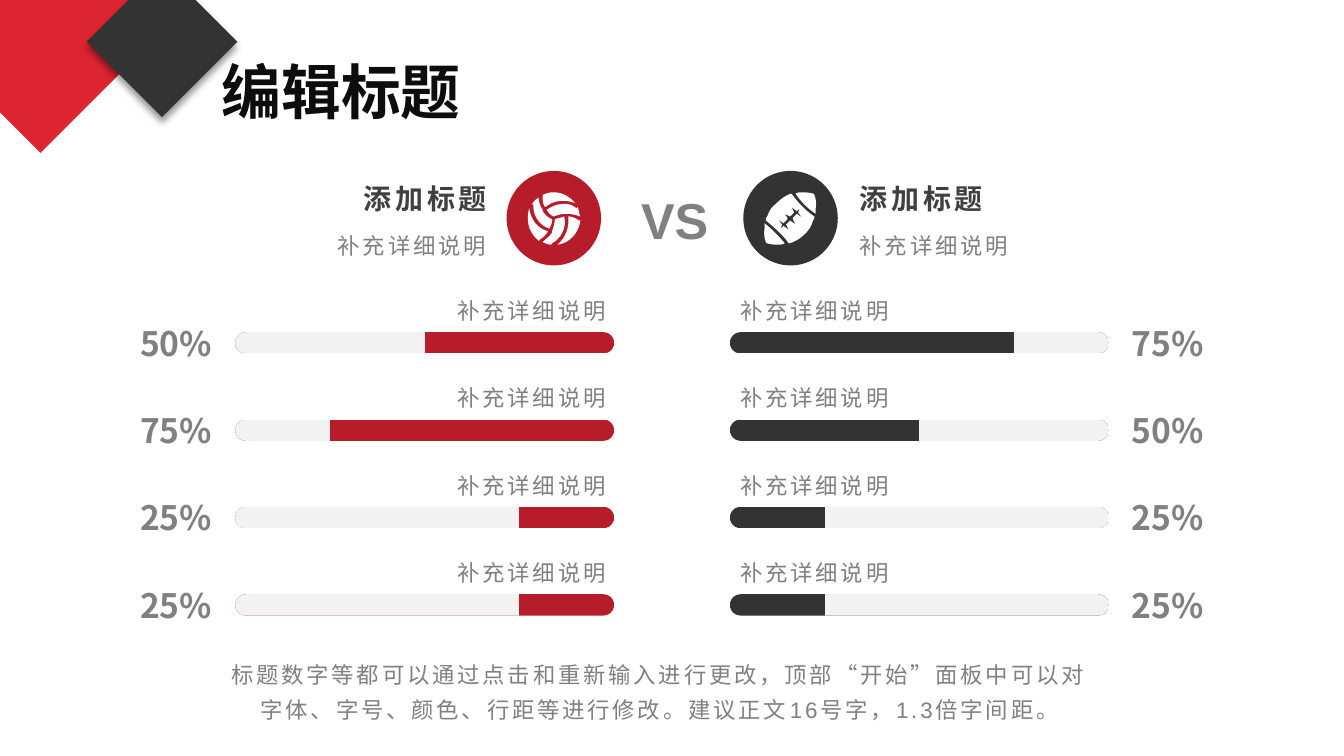
"""Build a slide that compares two sports with mirrored percentage bars."""
from copy import deepcopy
from dataclasses import dataclass

from lxml import etree
from pptx import Presentation
from pptx.dml.color import RGBColor
from pptx.enum.shapes import MSO_SHAPE
from pptx.enum.text import MSO_ANCHOR, MSO_AUTO_SIZE, PP_ALIGN
from pptx.oxml.ns import qn
from pptx.slide import Slide
from pptx.util import Pt

LEFT, CENTER, RIGHT = PP_ALIGN.LEFT, PP_ALIGN.CENTER, PP_ALIGN.RIGHT
TOP, MIDDLE = MSO_ANCHOR.TOP, MSO_ANCHOR.MIDDLE
GROW = MSO_AUTO_SIZE.SHAPE_TO_FIT_TEXT
FIXED = MSO_AUTO_SIZE.NONE
OVAL, PILL = MSO_SHAPE.OVAL, MSO_SHAPE.ROUNDED_RECTANGLE

COLORS = {
    "crimson": "B71C2B", "red": "DD2431", "dark": "333333", "track": "F2F2F2",
    "white": "FFFFFF", "title": "0D0D0D", "heading": "404040", "gray": "808080",
    "shadow": "000000",
}
LATIN, CJK = "Arial", "Noto Sans CJK SC"
DETAIL = "补充详细说明"
ICON_UNIT = 0.72
CURVE_STEPS = 8
ROW_TOP, ROW_PITCH = 154.8, 46.8

VOLLEYBALL = (
    "M 27 18 C 29 26 25 34 18 38 L 17 39 L 18 39 C 15 39 13 38 11 37 "
    "C 13 35 16 33 18 30 L 18 29 C 19 26 20 23 20 20 C 23 19 25 19 27 18 "
    "M 30 18 C 33 18 35 19 38 21 L 39 21 C 38 30 31 38 22 39 C 28 34 31 26 30 18 "
    "M 1 12 C 2 20 7 27 15 29 C 13 32 11 34 9 35 L 8 36 C 3 32 0 26 0 20 "
    "C 0 17 0 15 1 12 "
    "M 24 9 C 28 8 32 9 35 11 L 36 12 L 37 11 C 38 13 38 16 39 18 "
    "C 36 17 32 16 29 16 L 28 16 C 25 16 22 17 19 18 C 17 17 15 15 14 13 "
    "C 17 11 21 9 24 9 "
    "M 8 4 C 8 7 9 10 11 13 L 11 14 C 13 17 15 19 18 20 C 18 23 17 25 16 27 "
    "C 9 25 4 18 4 10 L 4 9 L 3 9 C 4 7 6 5 8 4 "
    "M 19 0 C 25 0 31 3 35 8 C 27 5 19 6 13 11 C 11 9 11 6 11 3 L 11 2 "
    "C 13 1 16 0 19 0"
)
FOOTBALL = (
    "M 0 23 C 6 28 11 33 15 38 C 13 39 11 39 10 39 C 5 39 2 38 2 38 "
    "C 1 38 1 37 1 37 C 1 37 -1 33 0 27 C 0 26 0 25 0 23 "
    "M 20 11 L 22 15 L 19 18 L 15 16 L 17 19 L 17 20 L 14 23 L 10 20 L 13 24 "
    "L 12 27 L 14 25 L 18 28 L 16 24 L 19 21 L 23 24 L 21 20 L 21 19 L 24 16 "
    "L 28 19 L 25 15 L 26 12 L 24 14 L 20 11 "
    "M 20 1 C 25 8 31 14 37 18 C 37 19 37 20 36 21 C 35 25 33 28 30 31 "
    "C 26 35 22 37 18 38 C 13 31 7 26 1 21 C 1 20 1 19 2 18 C 3 15 5 11 8 9 "
    "C 12 5 16 2 20 1 "
    "M 28 0 C 33 0 36 1 36 1 C 37 1 37 2 37 2 C 37 2 39 6 38 12 "
    "C 38 13 38 15 38 16 C 32 12 27 7 23 1 C 25 0 27 0 28 0"
)


@dataclass(frozen=True)
class TextStyle:
    size: float
    color: str
    font: str = CJK
    bold: bool = False
    align: int = LEFT
    tracking: float = 0
    line_spacing: float | None = None
    space_after: float = 0
    insets: tuple[float, float, float, float] = (7.2, 3.6, 7.2, 3.6)
    anchor: int = TOP
    wrap: bool = True
    autosize: int = FIXED


@dataclass(frozen=True)
class Side:
    color: str
    align: int
    icon: str
    disc_left: float
    heading_left: float
    label_left: float
    bar_left: float
    percent_left: float
    angle: int
    shares: tuple[int, ...]


SIDES = (
    Side("crimson", RIGHT, VOLLEYBALL, 271.4, 132.5, 196.6, 126, 62.6, 180, (50, 75, 25, 25)),
    Side("dark", LEFT, FOOTBALL, 398.2, 455, 391, 391, 594, 0, (75, 50, 25, 25)),
)


def rgb(color: str) -> RGBColor:
    return RGBColor.from_string(COLORS[color])


def write(shape, text: str, style: TextStyle) -> None:
    frame = shape.text_frame
    frame.text = text
    frame.word_wrap = style.wrap
    frame.auto_size = style.autosize
    frame.vertical_anchor = style.anchor
    (frame.margin_left, frame.margin_top,
     frame.margin_right, frame.margin_bottom) = map(Pt, style.insets)
    paragraph = frame.paragraphs[0]
    paragraph.alignment = style.align
    if style.line_spacing:
        paragraph.line_spacing = style.line_spacing
    paragraph.space_after = Pt(style.space_after)
    run = paragraph.runs[0]
    run.font.size, run.font.bold, run.font.name = Pt(style.size), style.bold, style.font
    run.font.color.rgb = rgb(style.color)
    properties = run.font._element
    properties.set("spc", str(int(style.tracking * 100)))
    etree.SubElement(properties, qn("a:ea"), typeface=CJK)


def add_text(slide: Slide, left: float, top: float, width: float, height: float,
             text: str, style: TextStyle) -> None:
    write(slide.shapes.add_textbox(Pt(left), Pt(top), Pt(width), Pt(height)), text, style)


def paint(shape, color: str) -> None:
    shape.shadow.inherit = False
    shape.fill.solid()
    shape.fill.fore_color.rgb = rgb(color)
    shape.line.fill.background()


def trace(path: str) -> list[list[tuple[float, float]]]:
    contours = []
    for outline in path.split("M")[1:]:
        points = []
        for segment in outline.replace("C", "|").replace("L", "|").split("|"):
            values = [float(value) for value in segment.split()]
            if len(values) == 2:
                points.append((values[0], values[1]))
                continue
            start = points[-1]
            for step in range(1, CURVE_STEPS + 1):
                t = step / CURVE_STEPS
                weights = ((1 - t) ** 3, 3 * t * (1 - t) ** 2, 3 * t * t * (1 - t), t ** 3)
                points.append(tuple(
                    sum(w * p for w, p in zip(weights, (start[axis], *values[axis::2])))
                    for axis in (0, 1)))
        contours.append(points)
    return contours


def add_outline(slide: Slide, left: float, top: float, unit: float, path: str, color: str):
    contours = [[(Pt(left + x * unit), Pt(top + y * unit)) for x, y in contour]
                for contour in trace(path)]
    builder = slide.shapes.build_freeform(*contours[0][0])
    for index, contour in enumerate(contours):
        if index:
            builder.move_to(*contour[0])
        builder.add_line_segments(contour[1:], close=True)
    outline = builder.convert_to_shape()
    paint(outline, color)
    return outline


def add_diamond(slide: Slide, left: float, top: float, size: float, color: str):
    return add_outline(slide, left, top, size / 2, "M 1 2 L 0 1 L 1 0 L 2 1", color)


def add_drop_shadow(shape) -> None:
    effects = shape._element.spPr.find(qn("a:effectLst"))
    shadow = etree.SubElement(effects, qn("a:outerShdw"), blurRad=str(Pt(4)),
                              dist=str(Pt(3)), dir="5400000", algn="t", rotWithShape="0")
    tint = etree.SubElement(shadow, qn("a:srgbClr"), val=COLORS["shadow"])
    etree.SubElement(tint, qn("a:alpha"), val="40000")


def add_bar(slide: Slide, side: Side, top: float, share: int) -> None:
    bar = slide.shapes.add_shape(PILL, Pt(side.bar_left), Pt(top), Pt(203), Pt(11.4))
    bar.adjustments[0] = 0.5
    bar.shadow.inherit = False
    bar.line.fill.background()
    bar.fill.gradient()
    bar.fill.gradient_angle = side.angle
    stop_list = bar._element.spPr.find(qn("a:gradFill")).find(qn("a:gsLst"))
    stop_list.extend([deepcopy(stop) for stop in stop_list])
    colors = (side.color, side.color, "track", "track")
    for stop, position, color in zip(bar.fill.gradient_stops, (0, share, share, 100), colors):
        stop.position = position / 100
        stop.color.rgb = rgb(color)


def add_side(slide: Slide, side: Side) -> None:
    heading = TextStyle(15, "heading", bold=True, align=side.align, tracking=2,
                        insets=(5.6, 2.2, 4.6, 2.2))
    detail = TextStyle(12, "gray", align=side.align, tracking=1.5, line_spacing=1.3,
                       insets=(5.6, 0, 5, 0))
    percent = TextStyle(18, "gray", bold=True, align=CENTER, insets=(0, 0, 0, 0),
                        anchor=MIDDLE, autosize=GROW)
    disc = slide.shapes.add_shape(OVAL, Pt(side.disc_left), Pt(91.6), Pt(50.6), Pt(50.6))
    paint(disc, side.color)
    add_outline(slide, side.disc_left + 11.4, 103, ICON_UNIT, side.icon, "white")
    add_text(slide, side.heading_left, 95, 133, 22.3, "添加标题", heading)
    add_text(slide, side.heading_left, 120.2, 133, 18.7, DETAIL, detail)
    for row, share in enumerate(side.shares):
        top = ROW_TOP + row * ROW_PITCH
        add_text(slide, side.label_left, top, 133, 18.7, DETAIL, detail)
        add_bar(slide, side, top + 23.2, share)
        add_text(slide, side.percent_left, top + 18, 63.4, 21.6, f"{share}%", percent)


def main() -> None:
    deck = Presentation()
    deck.slide_width, deck.slide_height = Pt(720), Pt(405)
    slide = deck.slides.add_slide(deck.slide_layouts[5])
    title = slide.shapes.title
    title.left, title.top, title.width, title.height = map(Pt, (111.6, 25.9, 142.6, 46))
    write(title, "编辑标题",
          TextStyle(32, "title", LATIN, bold=True, wrap=False, autosize=GROW))
    add_text(slide, 111.6, 350, 483, 18.7,
             "标题数字等都可以通过点击和重新输入进行更改，顶部“开始”面板中可以对"
             "字体、字号、颜色、行距等进行修改。建议正文16号字，1.3倍字间距。",
             TextStyle(12, "gray", LATIN, align=CENTER, tracking=1.5, line_spacing=1.3,
                       space_after=10, insets=(5.6, 0, 5, 0)))
    for side in SIDES:
        add_side(slide, side)
    add_text(slide, 336.4, 98, 50.4, 39.6, "VS",
             TextStyle(27, "gray", LATIN, bold=True, wrap=False, autosize=GROW))
    add_diamond(slide, -42.5, -46.6, 128.5, "red")
    add_drop_shadow(add_diamond(slide, 46.4, -18, 80.8, "dark"))
    deck.save("out.pptx")


if __name__ == "__main__":
    main()
